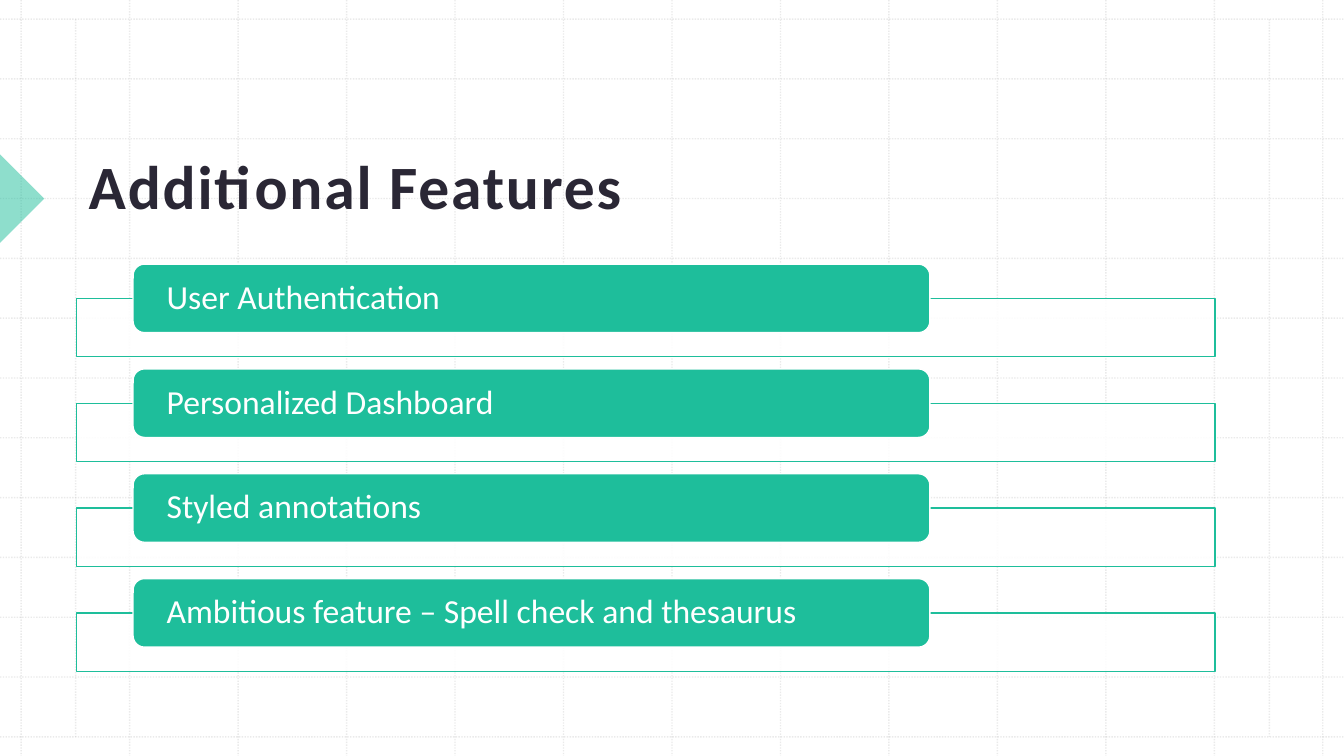
import pptx
import pptx.util
from pptx.dml.color import RGBColor
from pptx.enum.dml import MSO_LINE
from pptx.enum.shapes import MSO_CONNECTOR, MSO_SHAPE
from pptx.enum.text import MSO_ANCHOR, MSO_AUTO_SIZE, PP_ALIGN
from pptx.oxml.ns import qn
from pptx.oxml.xmlchemy import OxmlElement
from pptx.util import Inches

GREEN, WHITE, GREY, INK = "1EBE9B", "FFFFFF", "BCBCBC", "2A2735"
FEATURES = [
    "User Authentication",
    "Personalized Dashboard",
    "Styled annotations",
    "Ambitious feature – Spell check and thesaurus",
]


def paint(fill, color):
    """Give a fill one solid colour."""
    fill.solid()
    fill.fore_color.rgb = RGBColor.from_string(color)


def fade(sp, percent):
    """Set the opacity of the first colour of a shape or connector."""
    alpha = OxmlElement("a:alpha")
    alpha.set("val", str(percent * 1000))
    sp.element.spPr.find(".//" + qn("a:srgbClr")).append(alpha)


def write(sp, text, size, color, bold=False, spacing=0, anchor=MSO_ANCHOR.MIDDLE,
          insets=(0, 0, 0, 0), line_spacing=1.0):
    """Write one left-aligned formatted line in a shape."""
    tf = sp.text_frame
    tf.word_wrap = True
    tf.auto_size = MSO_AUTO_SIZE.NONE
    tf.vertical_anchor = anchor
    tf.margin_left, tf.margin_top, tf.margin_right, tf.margin_bottom = map(Inches, insets)
    p = tf.paragraphs[0]
    p.alignment = PP_ALIGN.LEFT
    p.line_spacing = line_spacing
    r = p.add_run()
    r.text = text
    r.font.name, r.font.size, r.font.bold = "Calibri", pptx.util.Pt(size), bold
    paint(r.font.fill, color)
    if spacing:
        r.font._element.set("spc", str(spacing))


def add_box(s, kind, x, y, w, h, fill, line=None):
    """Add a filled preset shape with an optional outline."""
    sp = s.shapes.add_shape(kind, Inches(x), Inches(y), Inches(w), Inches(h))
    sp.shadow.inherit = False
    paint(sp.fill, fill)
    if line:
        paint(sp.line.fill, line)
        sp.line.width = pptx.util.Pt(1)
    else:
        sp.line.fill.background()
    return sp


def add_grid_line(s, x1, y1, x2, y2):
    """Add one faint dotted line."""
    c = s.shapes.add_connector(MSO_CONNECTOR.STRAIGHT, *map(Inches, (x1, y1, x2, y2)))
    paint(c.line.fill, GREY)
    c.line.width = pptx.util.Pt(1)
    c.line.dash_style = MSO_LINE.ROUND_DOT
    fade(c, 30)
    c.element.spPr.append(OxmlElement("a:effectLst"))


def add_grid(s, w, h, steps=12):
    """Draw the background grid and its two side rules in a w by h area."""
    left, right, top, bottom = 0.21, w - 0.21, 0.19, h - 0.19
    for i in range(steps + 1):
        x = left + i * (right - left) / steps
        y = top + i * (bottom - top) / steps
        add_grid_line(s, x, 0, x, h)
        add_grid_line(s, 0, y, w, y)
    for x in (0.75, 12.59):
        add_grid_line(s, x, top, x, bottom)


def add_heading(s, text, x, y, w, h):
    """Place the title and the pointer at the slide edge."""
    pointer = add_box(s, MSO_SHAPE.RIGHT_TRIANGLE, -0.31, y + 0.87, 0.62, 0.62, GREEN)
    pointer.rotation = 225
    fade(pointer, 50)
    title = s.shapes.title
    title.left, title.top, title.width, title.height = map(Inches, (x, y, w, h))
    write(title, text, size=44, color=INK, bold=True, spacing=130,
          anchor=MSO_ANCHOR.BOTTOM, insets=(0.12, 0.12, 0.12, 0.1))
    title.element.getparent().append(title.element)


def add_features(s, features, x, y, w, pitch=1.04):
    """Stack the features as labelled bars over outlined bands."""
    for i, feature in enumerate(features):
        top = y + i * pitch
        band = add_box(s, MSO_SHAPE.RECTANGLE, x, top + 0.34, w, 0.58, WHITE, GREEN)
        fade(band, 90)
        bar = add_box(s, MSO_SHAPE.ROUNDED_RECTANGLE, x + 0.56, top, 0.7 * w, 0.68,
                      GREEN, WHITE)
        write(bar, feature, size=24, color=WHITE, insets=(0.3, 0, 0.3, 0),
              line_spacing=0.9)


def main():
    """Build and save the slide."""
    prs = pptx.Presentation()
    prs.slide_width, prs.slide_height = Inches(13.33), Inches(7.5)
    s = prs.slides.add_slide(prs.slide_layouts[5])
    paint(s.background.fill, WHITE)
    add_grid(s, 13.33, 7.5)
    add_heading(s, "Additional Features", 0.76, 0.79, 11.29, 1.51)
    add_features(s, FEATURES, 0.76, 2.62, 11.29)
    prs.save("out.pptx")


if __name__ == "__main__":
    main()
